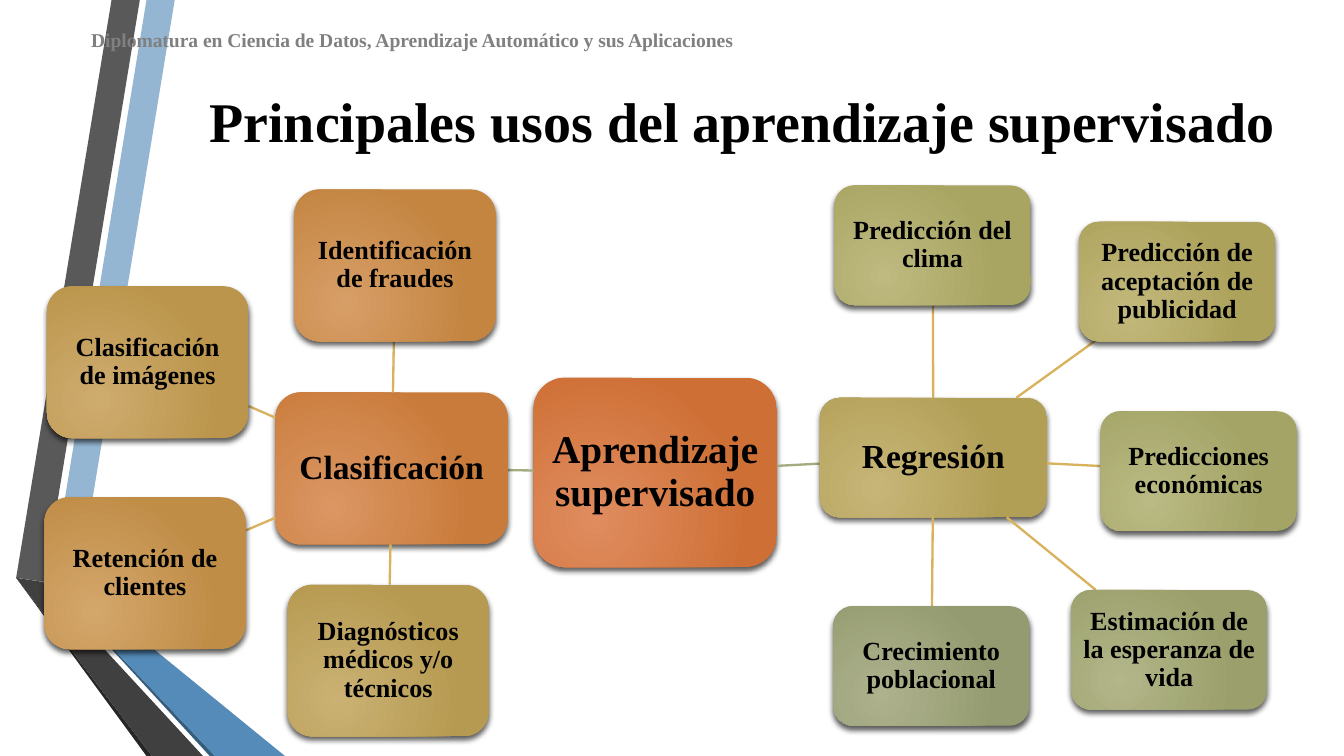
import dataclasses
import typing

import lxml.etree
import pptx
import pptx.dml.color
import pptx.enum.shapes
import pptx.enum.text
import pptx.oxml
import pptx.oxml.ns
import pptx.util

Inches = pptx.util.Inches
WIDTH = 10
HEIGHT = WIDTH * 9 / 16
FONT = "Times New Roman"
BRANCH_LINE = "D8B25C"
ROOT_LINE = "A5AB81"
NAMESPACE = pptx.oxml.ns.nsdecls("a")
SHADOW = (
    f'<a:outerShdw {NAMESPACE} blurRad="38100" dist="25400" dir="5400000" rotWithShape="0">'
    '<a:srgbClr val="000000"><a:alpha val="64000"/></a:srgbClr></a:outerShdw>'
)
RADIAL = (
    f'<a:path {NAMESPACE} path="circle">'
    '<a:fillToRect l="50000" t="100000" r="100000" b="50000"/></a:path>'
)


@dataclasses.dataclass(frozen=True)
class Band:
    color: str
    points: tuple[tuple[float, float], ...]


@dataclasses.dataclass(frozen=True)
class Style:
    width: float
    height: float
    size: float
    inset: float


@dataclasses.dataclass(frozen=True)
class Node:
    text: str
    left: float
    top: float
    style: Style
    light: str
    dark: str

    @property
    def center(self) -> tuple[float, float]:
        return self.left + self.style.width / 2, self.top + self.style.height / 2


BANDS = (
    Band("94B6D2", ((0.38, 4.34), (0.58, 4.37), (1.3, 0), (1.09, 0))),
    Band("595959", ((1.04, 0), (0.83, 0), (0.12, 4.3), (0.33, 4.33))),
    Band("262626", ((0.12, 4.3), (1.09, HEIGHT), (1.13, HEIGHT))),
    Band("355D7E", ((0.38, 4.34), (1.56, HEIGHT), (1.6, HEIGHT))),
    Band("558BB8", ((0.38, 4.34), (1.6, HEIGHT), (2.12, HEIGHT), (0.58, 4.37))),
    Band("404040", ((1.51, HEIGHT), (0.36, 4.38), (0.32, 4.33), (0.12, 4.3), (1.13, HEIGHT))),
)

ROOT = Style(1.81, 1.41, 21, 0.06)
LEFT_HUB = Style(1.73, 1.13, 18, 0.05)
LEFT_LEAF = Style(1.5, 1.13, 14, 0.04)
RIGHT_HUB = Style(1.69, 0.89, 18, 0.05)
RIGHT_LEAF = Style(1.46, 0.89, 14, 0.04)

LEARNING = Node("Aprendizaje supervisado", 3.97, 2.81, ROOT, "E08C5F", "CE7036")
CLASSIFICATION = Node("Clasificación", 2.05, 2.92, LEFT_HUB, "DB9663", "C97B3B")
REGRESSION = Node("Regresión", 6.1, 2.96, RIGHT_HUB, "C6B577", "B29F56")
BRANCHES = {
    CLASSIFICATION: (
        Node("Identificación de fraudes", 2.19, 1.41, LEFT_LEAF, "D79E67", "C48541"),
        Node("Retención de clientes", 0.33, 3.7, LEFT_LEAF, "D3A66B", "C08D46"),
        Node("Clasificación de imágenes", 0.35, 2.13, LEFT_LEAF, "CEAC6F", "BB954B"),
        Node("Diagnósticos médicos y/o técnicos", 2.14, 4.35, LEFT_LEAF, "CAB173", "B69A51"),
    ),
    REGRESSION: (
        Node("Predicción de aceptación de publicidad", 8.03, 1.65, RIGHT_LEAF, "C2B87B", "ADA25B"),
        Node("Predicción del clima", 6.21, 1.38, RIGHT_LEAF, "BEBA80", "A8A461"),
        Node("Predicciones económicas", 8.19, 3.06, RIGHT_LEAF, "BABA84", "A3A466"),
        Node("Estimación de la esperanza de vida", 7.97, 4.39, RIGHT_LEAF, "B2B689", "9B9F6B"),
        Node("Crecimiento poblacional", 6.2, 4.51, RIGHT_LEAF, "ADB28D", "959B70"),
    ),
}


def rgb(value: str) -> pptx.dml.color.RGBColor:
    return pptx.dml.color.RGBColor.from_string(value)


def write(shape: typing.Any, text: str, size: float, color: str = "000000") -> None:
    shape.text_frame.text = text
    font = shape.text_frame.paragraphs[0].runs[0].font
    font.name = FONT
    font.size = pptx.util.Pt(size)
    font.bold = True
    font.color.rgb = rgb(color)


def center_text(shape: typing.Any) -> None:
    shape.text_frame.word_wrap = True
    shape.text_frame.vertical_anchor = pptx.enum.text.MSO_ANCHOR.MIDDLE
    shape.text_frame.paragraphs[0].alignment = pptx.enum.text.PP_ALIGN.CENTER


def draw_band(slide: typing.Any, band: Band) -> None:
    points = [(Inches(x), Inches(y)) for x, y in band.points]
    builder = slide.shapes.build_freeform(*points[0])
    builder.add_line_segments(points[1:], close=True)
    shape = builder.convert_to_shape()
    shape.shadow.inherit = False
    shape.fill.solid()
    shape.fill.fore_color.rgb = rgb(band.color)
    shape.line.fill.background()


def draw_node(slide: typing.Any, node: Node) -> None:
    style = node.style
    shape = slide.shapes.add_shape(
        pptx.enum.shapes.MSO_SHAPE.ROUNDED_RECTANGLE,
        Inches(node.left), Inches(node.top), Inches(style.width), Inches(style.height),
    )
    shape.line.fill.background()
    shape.fill.gradient()
    for stop, color in zip(shape.fill.gradient_stops, (node.light, node.dark)):
        stop.color.rgb = rgb(color)
    properties = shape.element.spPr
    linear = properties.find(".//" + pptx.oxml.ns.qn("a:lin"))
    linear.getparent().replace(linear, pptx.oxml.parse_xml(RADIAL))
    shape.shadow.inherit = False
    effects = properties.find(pptx.oxml.ns.qn("a:effectLst"))
    effects.append(pptx.oxml.parse_xml(SHADOW))
    write(shape, node.text, style.size)
    center_text(shape)
    shape.text_frame.paragraphs[0].line_spacing = 0.9
    for side in ("left", "top", "right", "bottom"):
        setattr(shape.text_frame, f"margin_{side}", Inches(style.inset))


def edge_point(node: Node, target: Node) -> tuple[float, float]:
    x, y = node.center
    dx, dy = target.center[0] - x, target.center[1] - y
    scale = 0.5 / max(abs(dx) / node.style.width, abs(dy) / node.style.height)
    return x + dx * scale, y + dy * scale


def link(slide: typing.Any, start: Node, end: Node, color: str) -> None:
    points = (*edge_point(start, end), *edge_point(end, start))
    connector = slide.shapes.add_connector(
        pptx.enum.shapes.MSO_CONNECTOR.STRAIGHT, *(Inches(value) for value in points)
    )
    connector.line.color.rgb = rgb(color)
    connector.line.width = pptx.util.Pt(1.25)
    lxml.etree.SubElement(connector.element.spPr, pptx.oxml.ns.qn("a:effectLst"))


def main() -> None:
    presentation = pptx.Presentation()
    presentation.slide_width = Inches(WIDTH)
    presentation.slide_height = Inches(HEIGHT)
    slide = presentation.slides.add_slide(presentation.slide_layouts[5])

    for band in BANDS:
        draw_band(slide, band)

    header = slide.shapes.add_textbox(Inches(0.58), Inches(0.16), Inches(6.49), Inches(0.28))
    header.text_frame.word_wrap = True
    write(header, "Diplomatura en Ciencia de Datos, Aprendizaje Automático y sus Aplicaciones", 10.5, "808080")

    title = slide.shapes.title
    title.left, title.top = Inches(1.31), Inches(0.51)
    title.width, title.height = Inches(8.43), Inches(0.77)
    write(title, "Principales usos del aprendizaje supervisado", 30)
    center_text(title)
    title.text_frame.auto_size = pptx.enum.text.MSO_AUTO_SIZE.NONE

    draw_node(slide, LEARNING)
    for hub, leaves in BRANCHES.items():
        link(slide, LEARNING, hub, ROOT_LINE)
        draw_node(slide, hub)
        for leaf in leaves:
            link(slide, hub, leaf, BRANCH_LINE)
            draw_node(slide, leaf)

    presentation.save("out.pptx")


if __name__ == "__main__":
    main()
